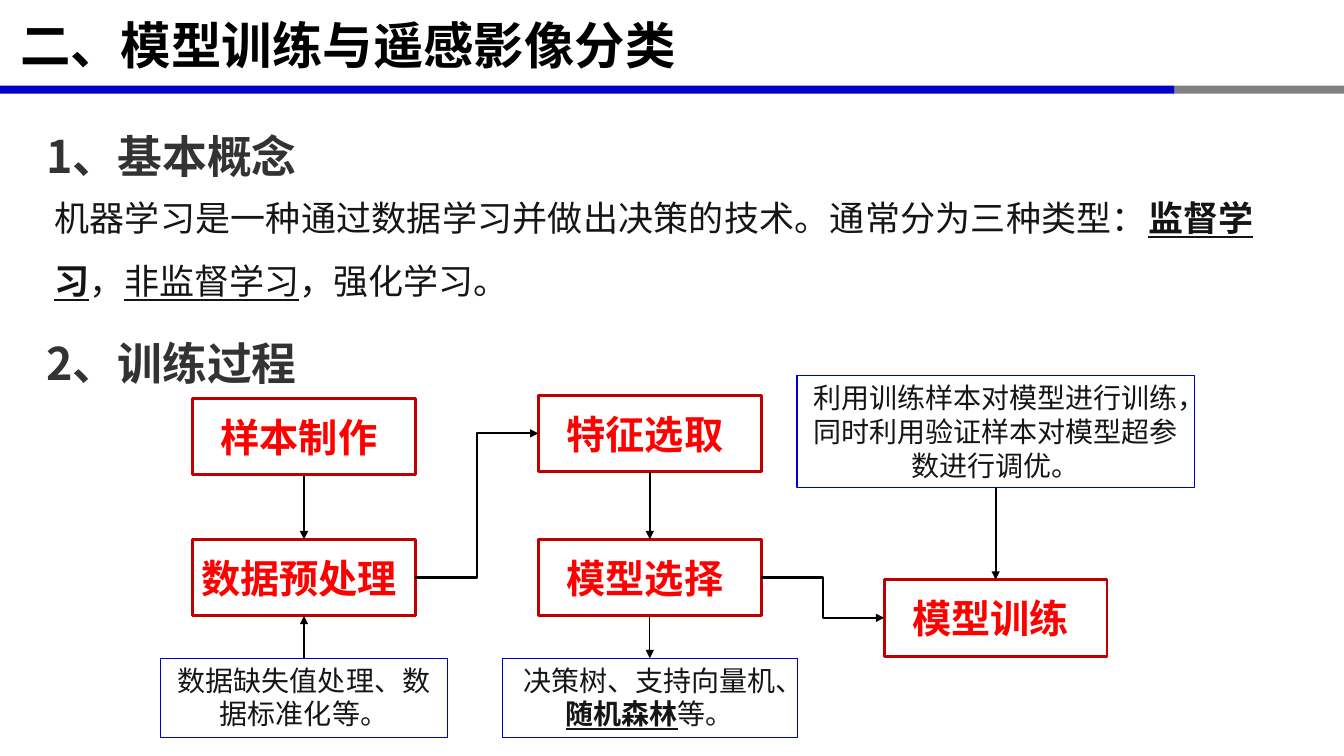
"""Build the slide on model training and remote sensing image classification."""
import pptx
import pptx.util
import pptx.dml.color
import pptx.enum.shapes
import pptx.enum.text
import pptx.oxml.ns
import lxml.etree

Inches, Pt = pptx.util.Inches, pptx.util.Pt
ALIGN = pptx.enum.text.PP_ALIGN
ANCHOR = pptx.enum.text.MSO_ANCHOR
SHAPE = pptx.enum.shapes.MSO_SHAPE
CONNECTOR = pptx.enum.shapes.MSO_CONNECTOR
FONT = "Noto Sans CJK SC"
COLORS = {
    "title": "000000", "heading": "333333", "body": "151515", "step": "FF0000",
    "step_line": "C00000", "blue": "0000CC", "gray": "808080", "white": "FFFFFF",
}
WIDTH, HEIGHT = 13.33, 7.5
COLUMN_LEFT, COLUMN_PITCH = 1.91, 3.43
STEP_WIDTH, STEP_HEIGHT = 2.21, 0.76
TOP, BOTTOM, LEFT, RIGHT = 0, 2, 1, 3


def color(name):
    return pptx.dml.color.RGBColor.from_string(COLORS[name])


def write(shape, runs, size, color_name, bold=False, align=ALIGN.LEFT, spacing=None):
    frame = shape.text_frame
    frame.word_wrap = True
    paragraph = frame.paragraphs[0]
    paragraph.alignment = align
    if spacing:
        paragraph.line_spacing = Pt(size * spacing)
    for text, emphasis in runs:
        run = paragraph.add_run()
        run.text = text
        run.font.size = Pt(size)
        run.font.name = FONT
        run.font.bold = bold or "b" in emphasis
        run.font.underline = "u" in emphasis
        run.font.color.rgb = color(color_name)
        properties = run.font._element
        east_asian = lxml.etree.SubElement(properties, pptx.oxml.ns.qn("a:ea"))
        east_asian.set("typeface", FONT)


presentation = pptx.Presentation()
presentation.slide_width = Inches(WIDTH)
presentation.slide_height = Inches(HEIGHT)
slide = presentation.slides.add_slide(presentation.slide_layouts[6])

split = 11.65
for left, width, name in [(0, split, "blue"), (split, WIDTH - split, "gray")]:
    bar = slide.shapes.add_shape(
        SHAPE.RECTANGLE, Inches(left), Inches(0.85), Inches(width), Inches(0.08))
    bar.shadow.inherit = False
    bar.fill.solid()
    bar.fill.fore_color.rgb = color(name)
    bar.line.fill.background()

title = slide.shapes.add_textbox(0, Inches(0.01), Inches(11.52), Inches(0.87))
title.text_frame.vertical_anchor = ANCHOR.MIDDLE
title.text_frame.margin_left = Inches(0.2)
write(title, [("二、模型训练与遥感影像分类", "")], 36, "title", bold=True)

for text, top in [("1、基本概念", 0.96), ("2、训练过程", 3.01)]:
    heading = slide.shapes.add_textbox(Inches(0.36), Inches(top), Inches(3.19), Inches(0.81))
    write(heading, [(text, "")], 32, "heading", bold=True, align=ALIGN.JUSTIFY, spacing=1.8)

concept = slide.shapes.add_textbox(Inches(0.44), Inches(1.69), Inches(12.09), Inches(1.29))
concept_runs = [
    ("机器学习是一种通过数据学习并做出决策的技术。通常分为三种类型：", ""),
    ("监督学习", "bu"), ("，", ""), ("非监督学习", "u"), ("，强化学习。", ""),
]
write(concept, concept_runs, 25, "body", align=ALIGN.JUSTIFY, spacing=1.8)

boxes = {}
steps = [
    ("样本制作", 0, 3.95), ("数据预处理", 0, 5.35), ("特征选取", 1, 3.92),
    ("模型选择", 1, 5.35), ("模型训练", 2, 5.75),
]
for text, column, top in steps:
    step = slide.shapes.add_shape(
        SHAPE.RECTANGLE, Inches(COLUMN_LEFT + column * COLUMN_PITCH), Inches(top),
        Inches(STEP_WIDTH), Inches(STEP_HEIGHT))
    step.shadow.inherit = False
    step.fill.solid()
    step.fill.fore_color.rgb = color("white")
    step.line.color.rgb = color("step_line")
    step.line.width = Pt(2)
    step.text_frame.margin_left = 0
    step.text_frame.vertical_anchor = ANCHOR.MIDDLE
    write(step, [(text, "")], 28, "step", bold=True, align=ALIGN.CENTER)
    boxes[text] = step

callouts = [
    ("预处理说明", 0, 6.53, 2.85, 0.79, [("数据缺失值处理、数据标准化等。", "")]),
    ("选择说明", 1, 6.53, 2.93, 0.79,
     [("决策树、支持向量机、", ""), ("随机森林", "bu"), ("等。", "")]),
    ("训练说明", 2, 3.73, 3.94, 1.11,
     [("利用训练样本对模型进行训练，同时利用验证样本对模型超参数进行调优。", "")]),
]
for key, column, top, width, height, runs in callouts:
    center = COLUMN_LEFT + column * COLUMN_PITCH + STEP_WIDTH / 2
    callout = slide.shapes.add_shape(
        SHAPE.RECTANGLE, Inches(center - width / 2), Inches(top), Inches(width), Inches(height))
    callout.shadow.inherit = False
    callout.fill.background()
    callout.line.color.rgb = color("blue")
    callout.line.width = Pt(0.75)
    callout.text_frame.vertical_anchor = ANCHOR.TOP
    write(callout, runs, 20, "body", align=ALIGN.CENTER, spacing=1.2)
    boxes[key] = callout

arrows = [
    ("数据预处理", RIGHT, "特征选取", LEFT, 1.5),
    ("样本制作", BOTTOM, "数据预处理", TOP, 1.5),
    ("特征选取", BOTTOM, "模型选择", TOP, 1.5),
    ("模型选择", RIGHT, "模型训练", LEFT, 1.5),
    ("训练说明", BOTTOM, "模型训练", TOP, 1.5),
    ("模型选择", BOTTOM, "选择说明", TOP, 0.75),
    ("预处理说明", TOP, "数据预处理", BOTTOM, 0.75),
]
for source, source_side, target, target_side, weight in arrows:
    kind = CONNECTOR.ELBOW if source_side == RIGHT else CONNECTOR.STRAIGHT
    arrow = slide.shapes.add_connector(kind, 0, 0, 0, 0)
    arrow.begin_connect(boxes[source], source_side)
    arrow.end_connect(boxes[target], target_side)
    arrow.line.color.rgb = color("title")
    arrow.line.width = Pt(weight)
    head = lxml.etree.SubElement(arrow.line._get_or_add_ln(), pptx.oxml.ns.qn("a:tailEnd"))
    head.set("type", "triangle")
    lxml.etree.SubElement(arrow._element.spPr, pptx.oxml.ns.qn("a:effectLst"))

presentation.save("out.pptx")
